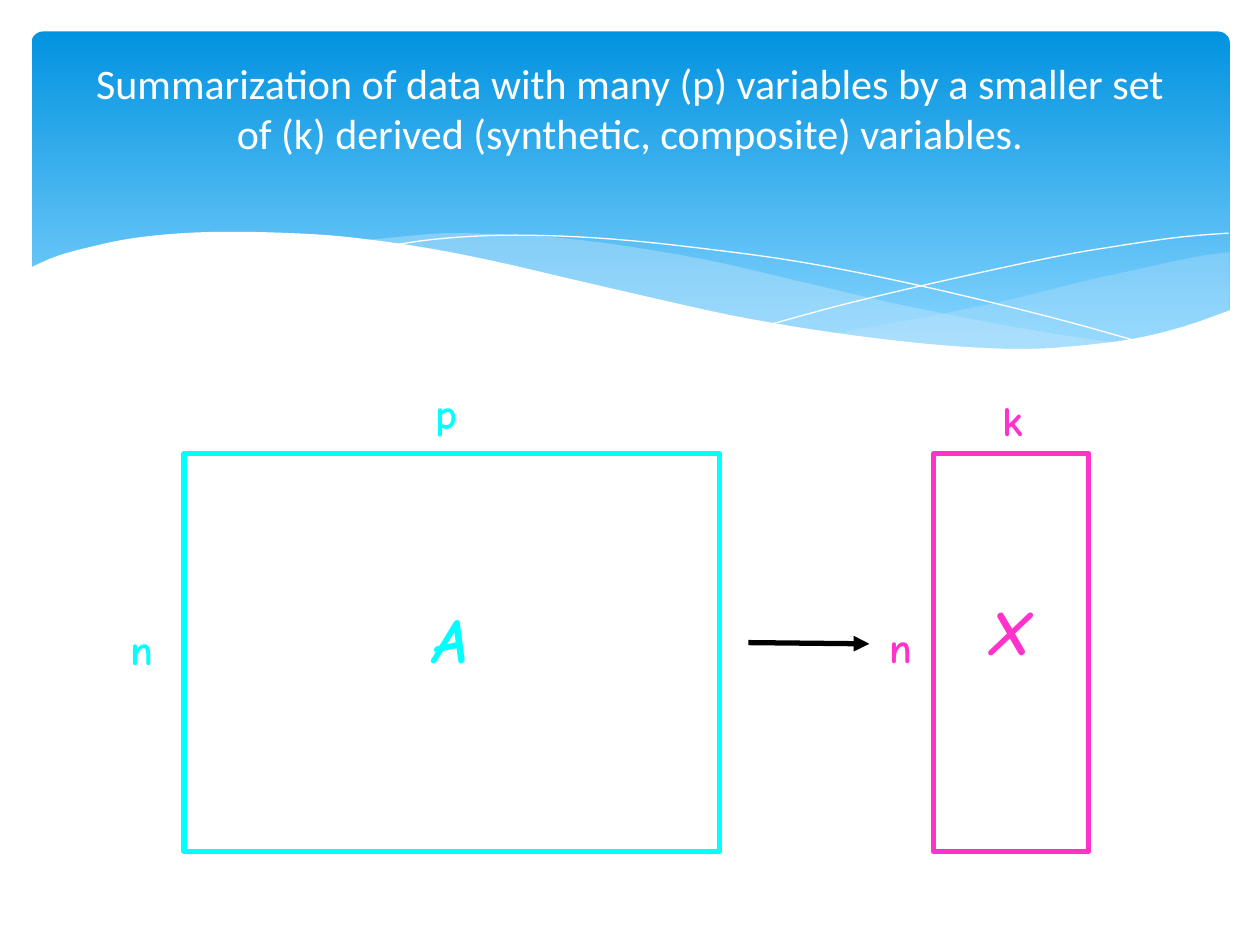
import pptx
import pptx.util
import pptx.dml.color
import pptx.enum.shapes
import pptx.enum.text
import pptx.oxml.ns
import pptx.oxml.xmlchemy

Inches = pptx.util.Inches
Pt = pptx.util.Pt
Shape = pptx.enum.shapes.MSO_SHAPE
Text = pptx.enum.text
Node = pptx.oxml.xmlchemy.OxmlElement

COLORS = {
    "sky": "0293E0", "pale": "83D3FE", "mist": "C6E7FC", "white": "FFFFFF",
    "black": "000000", "cyan": "00FFFF", "pink": "FF33CC",
}

# Knots of the wave edges, in inches
RIGHT_TOP = [(9.76, 2), (9.48, 2.04), (9.06, 2.13), (8.61, 2.23), (8.05, 2.37),
             (7.53, 2.48), (7.06, 2.57), (6.61, 2.65)]
RIGHT_LOW = [(6.61, 2.65), (7.05, 2.71), (7.45, 2.75), (7.81, 2.77), (8.14, 2.78),
             (8.54, 2.76), (8.89, 2.72), (9.21, 2.65), (9.49, 2.57), (9.76, 2.47)]
MID_TOP = [(8.93, 2.73), (8.37, 2.65), (7.75, 2.54), (7.06, 2.4), (6.29, 2.22),
           (5.69, 2.08), (5.14, 1.98), (4.65, 1.91), (4.2, 1.87), (3.61, 1.85),
           (3.28, 1.87), (2.86, 1.91)]
MID_LOW = [(2.86, 1.91), (3.42, 1.99), (4.04, 2.11), (4.49, 2.22), (5.3, 2.4),
           (6.01, 2.55), (6.65, 2.66), (7.22, 2.74), (7.73, 2.77), (8.18, 2.78),
           (8.57, 2.77), (8.93, 2.73)]
FALL = [(3.09, 1.95), (3.44, 1.9), (3.87, 1.87), (4.33, 1.87), (4.89, 1.9),
        (5.56, 1.97), (6.36, 2.08), (7.27, 2.26), (8.31, 2.51), (9.07, 2.72)]
RISE = [(6.13, 2.57), (6.72, 2.41), (7.48, 2.23), (8.36, 2.04), (8.95, 1.94),
        (9.38, 1.88), (9.75, 1.85)]
FRONT = [(9.77, 2.46), (9.4, 2.59), (8.99, 2.69), (8.5, 2.75), (8.09, 2.77),
         (7.61, 2.75), (7.08, 2.7), (6.48, 2.62), (5.79, 2.5), (5.03, 2.33),
         (4.47, 2.2), (3.91, 2.07), (3.4, 1.97), (2.92, 1.9), (2.5, 1.86),
         (1.93, 1.84), (1.46, 1.85), (1.06, 1.89), (0.76, 1.95), (0.46, 2.03),
         (0.23, 2.13)]


def rgb(name):
    return pptx.dml.color.RGBColor.from_string(COLORS[name])


def smooth(knots, steps=4):
    """Return points of a Catmull-Rom curve through the knots."""
    ends = [knots[0], *knots, knots[-1]]
    points = [knots[0]]
    for a, b, c, d in zip(ends, ends[1:], ends[2:], ends[3:]):
        for i in range(1, steps + 1):
            t = i / steps
            points.append(tuple(
                (2 * q + (r - p) * t + (2 * p - 5 * q + 4 * r - s) * t ** 2
                 + (3 * q - p - 3 * r + s) * t ** 3) / 2
                for p, q, r, s in zip(a, b, c, d)))
    return points


def write(frame, text, size=24, font="Comic Neue", color="black", bold=False,
          italic=False, align=Text.PP_ALIGN.LEFT):
    para = frame.paragraphs[0]
    para.alignment = align
    run = para.add_run()
    run.text = text
    run.font.size = Pt(size)
    run.font.name = font
    run.font.bold = bold
    run.font.italic = italic
    run.font.color.rgb = rgb(color)


def label(shapes, text, box, **style):
    frame = shapes.add_textbox(*map(Inches, box)).text_frame
    frame.word_wrap = False
    frame.auto_size = Text.MSO_AUTO_SIZE.SHAPE_TO_FIT_TEXT
    write(frame, text, bold=True, **style)


def outline(shapes, points, close):
    start, *rest = [(Inches(x), Inches(y)) for x, y in points]
    build = shapes.build_freeform(*start)
    build.add_line_segments(rest, close=close)
    shape = build.convert_to_shape()
    shape.shadow.inherit = False
    return shape


def area(shapes, points, color, alpha=100):
    shape = outline(shapes, points, True)
    shape.fill.solid()
    shape.fill.fore_color.rgb = rgb(color)
    shape.line.fill.background()
    if alpha < 100:
        tint = shape._element.spPr.find(".//" + pptx.oxml.ns.qn("a:srgbClr"))
        node = Node("a:alpha")
        node.set("val", str(alpha * 1000))
        tint.append(node)


def curve(shapes, knots):
    shape = outline(shapes, smooth(knots), False)
    shape.fill.background()
    shape.line.color.rgb = rgb("white")
    shape.line.width = Pt(0)


def banner(shapes):
    box = map(Inches, (0.25, 0.25, 9.51, 2.7))
    panel = shapes.add_shape(Shape.ROUNDED_RECTANGLE, *box)
    panel.adjustments[0] = 0.034
    panel.shadow.inherit = False
    panel.line.fill.background()
    panel.fill.gradient()
    panel.fill.gradient_angle = 270
    for stop, place, color in zip(panel.fill.gradient_stops, (0, 0.9), ("sky", "pale")):
        stop.position = place
        stop.color.rgb = rgb(color)

    waves = shapes.add_group_shape().shapes
    area(waves, smooth(RIGHT_TOP) + smooth(RIGHT_LOW), "mist", 29)
    area(waves, smooth(MID_TOP) + smooth(MID_LOW), "mist", 40)
    curve(waves, FALL)
    curve(waves, RISE)
    area(waves, smooth(FRONT) + [(0.23, 3.29), (9.77, 3.29)], "white")


def heading(slide, text):
    title = slide.shapes.title
    slide.shapes._spTree.append(title._element)  # in front of the banner
    title.left, title.top, title.width, title.height = map(Inches, (0.5, 0.37, 9, 1.37))
    frame = title.text_frame
    frame.word_wrap = True
    frame.auto_size = Text.MSO_AUTO_SIZE.NONE
    frame.vertical_anchor = Text.MSO_ANCHOR.MIDDLE
    frame.margin_bottom = Inches(0.45)
    write(frame, text, font="Calibri", color="white", align=Text.PP_ALIGN.CENTER)


def arrow(shapes, start, end):
    line = shapes.add_connector(pptx.enum.shapes.MSO_CONNECTOR.STRAIGHT,
                                *map(Inches, start + end))
    line.line.color.rgb = rgb("black")
    line.line.width = Pt(3)
    head = Node("a:tailEnd")
    head.set("type", "triangle")
    line.line._get_or_add_ln().append(head)
    line._element.spPr.append(Node("a:effectLst"))


def matrix(shapes, left, width, color, rows, cols, name):
    """Draw a framed matrix; rows, cols and name are (text, left, top)."""
    group = shapes.add_group_shape().shapes
    frame = group.add_shape(Shape.RECTANGLE, *map(Inches, (left, 3.6, width, 3.16)))
    frame.shadow.inherit = False
    frame.fill.background()
    frame.line.color.rgb = rgb(color)
    frame.line.width = Pt(3)
    for text, x, y in (rows, cols):
        label(group, text, (x, y, 0.38, 0.5), color=color)
    text, x, y = name
    label(group, text, (x, y, 0.57, 0.7), color=color, size=36, italic=True)


def main():
    deck = pptx.Presentation()
    deck.slide_width, deck.slide_height = Inches(10), Inches(7.5)
    slide = deck.slides.add_slide(deck.slide_layouts[5])
    shapes = slide.shapes
    banner(shapes)
    heading(slide, "Summarization of data with many (p) variables by a smaller set "
                   "of (k) derived (synthetic, composite) variables.")
    arrow(shapes, (5.94, 5.1), (6.9, 5.11))
    matrix(shapes, 1.46, 4.25, "cyan",
           ("n", 0.94, 4.9), ("p", 3.36, 3.03), ("A", 3.34, 4.72))
    matrix(shapes, 7.41, 1.23, "pink",
           ("n", 6.96, 4.88), ("k", 7.86, 3.08), ("X", 7.76, 4.65))
    deck.save("out.pptx")


if __name__ == "__main__":
    main()
